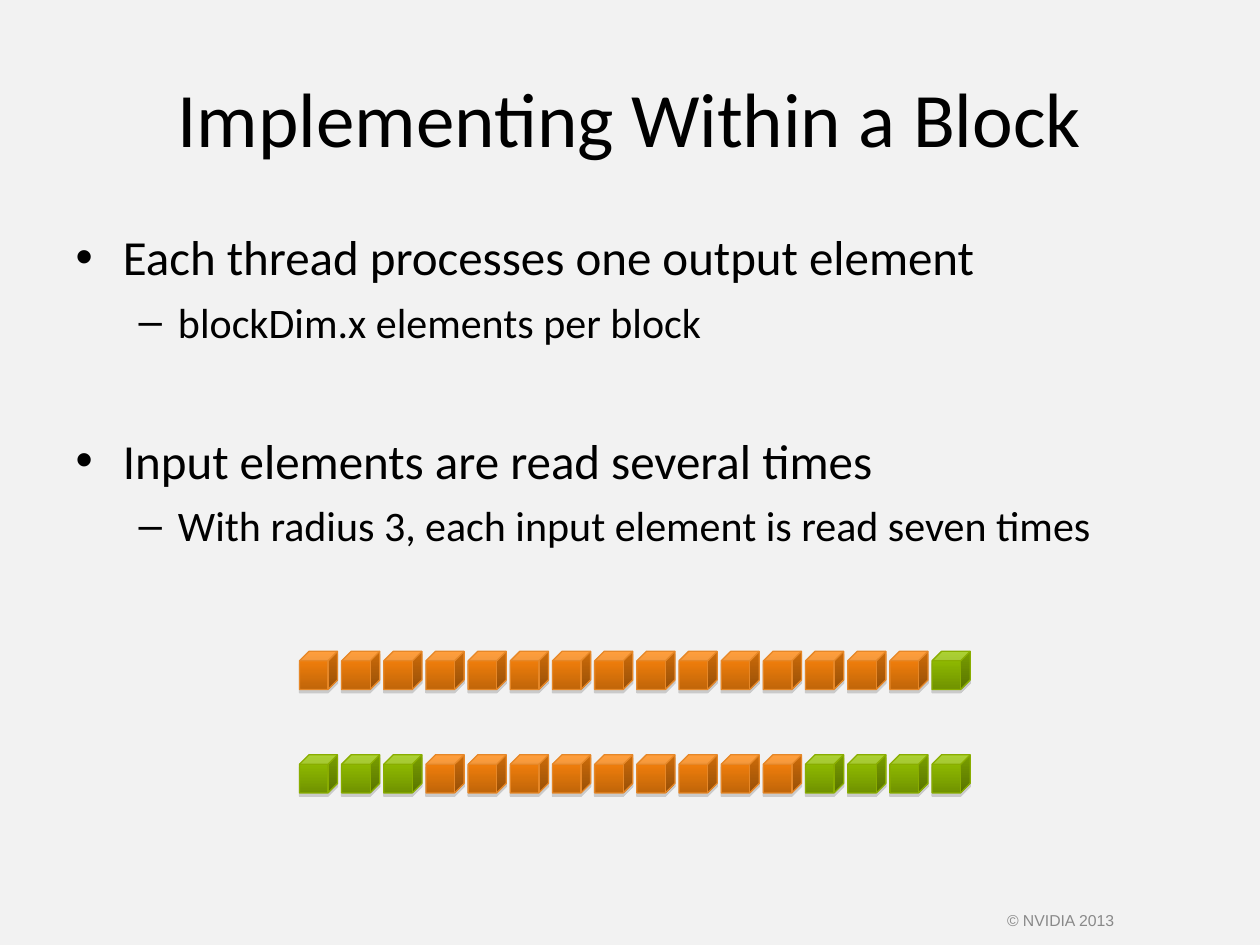
from dataclasses import dataclass

from lxml import etree
from pptx import Presentation
from pptx.dml.color import RGBColor
from pptx.enum.shapes import MSO_SHAPE
from pptx.enum.text import MSO_ANCHOR, MSO_AUTO_SIZE, PP_ALIGN
from pptx.oxml.ns import qn
from pptx.shapes.autoshape import Shape
from pptx.slide import Slide
from pptx.text.text import _Paragraph
from pptx.util import Pt

CUBE = MSO_SHAPE.CUBE
CENTER = PP_ALIGN.CENTER
MIDDLE = MSO_ANCHOR.MIDDLE
NO_AUTOFIT = MSO_AUTO_SIZE.NONE


@dataclass(frozen=True)
class CubeStyle:
    top: str
    bottom: str
    edge: str


@dataclass(frozen=True)
class Theme:
    background: str = "F2F2F2"
    text: str = "000000"
    muted: str = "898989"
    shadow: str = "808080"
    font: str = "Calibri"
    footer_font: str = "Arial"
    title_size: float = 44
    level_sizes: tuple[float, ...] = (28, 24)
    footer_size: float = 9
    green: CubeStyle = CubeStyle("98C600", "709200", "89AD00")
    orange: CubeStyle = CubeStyle("FF860C", "C06509", "E68727")


@dataclass(frozen=True)
class Point:
    text: str
    level: int
    space_before: float


@dataclass(frozen=True)
class CubeRun:
    count: int
    style: CubeStyle


@dataclass(frozen=True)
class CubeRow:
    top: float
    runs: tuple[CubeRun, ...]


THEME = Theme()
ROW_LEFT, CUBE_STEP, CUBE_SIZE = 171.1, 24.1, 21.8

POINTS = (
    Point("Each thread processes one output element", 0, 0),
    Point("blockDim.x elements per block", 1, 6),
    Point("Input elements are read several times", 0, 48),
    Point("With radius 3, each input element is read seven times", 1, 6),
)

ROWS = (
    CubeRow(372.2, (CubeRun(15, THEME.orange), CubeRun(1, THEME.green))),
    CubeRow(431.3, (CubeRun(3, THEME.green), CubeRun(9, THEME.orange), CubeRun(4, THEME.green))),
)


def rgb(value: str) -> RGBColor:
    return RGBColor.from_string(value)


def place(shape: Shape, left: float, top: float, width: float, height: float) -> None:
    shape.left, shape.top = Pt(left), Pt(top)
    shape.width, shape.height = Pt(width), Pt(height)


def add_run(paragraph: _Paragraph, text: str, size: float, font: str, color: str) -> None:
    run = paragraph.add_run()
    run.text = text
    run.font.size = Pt(size)
    run.font.name = font
    run.font.color.rgb = rgb(color)


def add_centered_line(shape: Shape, text: str, size: float, font: str, color: str) -> None:
    frame = shape.text_frame
    frame.word_wrap = True
    frame.auto_size = NO_AUTOFIT
    frame.vertical_anchor = MIDDLE
    line = frame.paragraphs[0]
    line.alignment = CENTER
    add_run(line, text, size, font, color)


def add_points(body: Shape, points: tuple[Point, ...]) -> None:
    frame = body.text_frame
    frame.auto_size = NO_AUTOFIT
    for index, point in enumerate(points):
        paragraph = frame.add_paragraph() if index else frame.paragraphs[0]
        paragraph.level = point.level
        paragraph.space_before = Pt(point.space_before)
        add_run(paragraph, point.text, THEME.level_sizes[point.level], THEME.font, THEME.text)


def add_drop_shadow(shape: Shape) -> None:
    shape.shadow.inherit = False
    effects = shape.element.spPr.find(qn("a:effectLst"))
    shadow = etree.SubElement(
        effects, qn("a:outerShdw"),
        blurRad="0", dist=str(Pt(1.8)), dir="5400000", rotWithShape="0",
    )
    color = etree.SubElement(shadow, qn("a:srgbClr"), val=THEME.shadow)
    etree.SubElement(color, qn("a:alpha"), val="35000")


def add_cube(slide: Slide, left: float, top: float, style: CubeStyle) -> None:
    cube = slide.shapes.add_shape(CUBE, Pt(left), Pt(top), Pt(CUBE_SIZE), Pt(CUBE_SIZE))
    cube.fill.gradient()
    cube.fill.gradient_angle = 270
    for stop, color, position in zip(cube.fill.gradient_stops, (style.top, style.bottom), (0, 1)):
        stop.color.rgb = rgb(color)
        stop.position = position
    cube.line.color.rgb = rgb(style.edge)
    cube.line.width = Pt(0.75)
    add_drop_shadow(cube)


def add_cube_row(slide: Slide, row: CubeRow) -> None:
    styles = [run.style for run in row.runs for _ in range(run.count)]
    for index, style in enumerate(styles):
        add_cube(slide, ROW_LEFT + index * CUBE_STEP, row.top, style)


def main() -> None:
    deck = Presentation()
    deck.slide_width, deck.slide_height = Pt(720), Pt(540)
    slide = deck.slides.add_slide(deck.slide_layouts[1])
    slide.background.fill.solid()
    slide.background.fill.fore_color.rgb = rgb(THEME.background)

    title, body = slide.placeholders
    place(title, 36, 21.6, 648, 90)
    add_centered_line(title, "Implementing Within a Block", THEME.title_size, THEME.font, THEME.text)
    place(body, 36, 126, 648, 356.4)
    add_points(body, POINTS)

    for row in ROWS:
        add_cube_row(slide, row)

    copyright_line = slide.shapes.add_textbox(Pt(492), Pt(511.2), Pt(228), Pt(28.8))
    add_centered_line(
        copyright_line, "© NVIDIA 2013", THEME.footer_size, THEME.footer_font, THEME.muted
    )
    deck.save("out.pptx")


if __name__ == "__main__":
    main()
